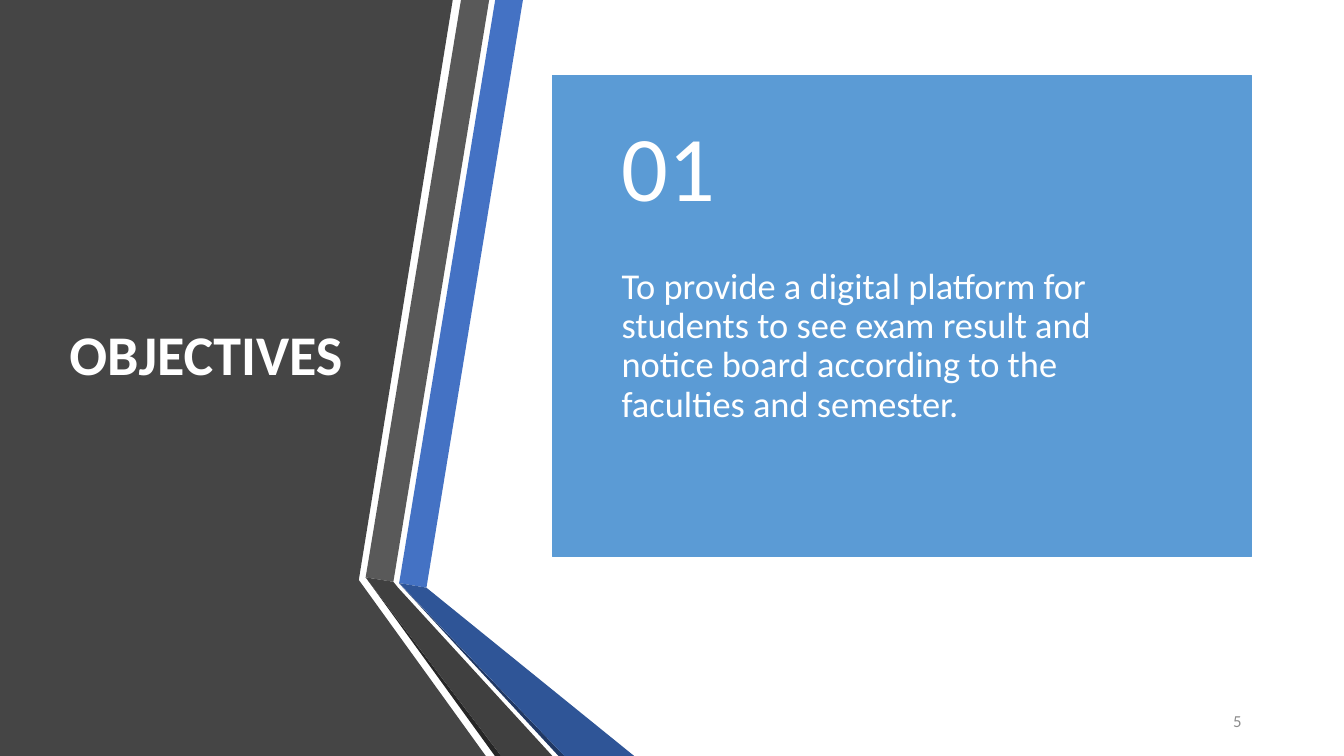
from pptx import Presentation, util as u
from pptx.dml.color import RGBColor
from pptx.enum import shapes, text

WIDTH, HEIGHT = 960, 540


def color(value):
    return RGBColor.from_string(value)


def add_polygon(slide, box, points, fill):
    left, top = box[:2]
    corners = [(u.Pt(left + x), u.Pt(top + y)) for x, y in points]
    builder = slide.shapes.build_freeform(*corners[0], scale=1.0)
    builder.add_line_segments(corners[1:], close=True)
    shape = builder.convert_to_shape()
    shape.shadow.inherit = False
    shape.fill.solid()
    shape.fill.fore_color.rgb = color(fill)
    shape.line.fill.background()


def add_text(slide, box, content, size=12, fill="FFFFFF", bold=False,
             align=text.PP_ALIGN.LEFT, anchor=text.MSO_ANCHOR.MIDDLE,
             insets=(7.2, 3.6, 7.2, 3.6), spacing=0.9):
    frame = slide.shapes.add_textbox(*map(u.Pt, box)).text_frame
    frame.word_wrap = True
    frame.vertical_anchor = anchor
    (frame.margin_left, frame.margin_top,
     frame.margin_right, frame.margin_bottom) = map(u.Pt, insets)
    paragraph = frame.paragraphs[0]
    paragraph.alignment = align
    paragraph.line_spacing = spacing
    run = paragraph.add_run()
    run.text = content
    run.font.name = "Calibri"
    run.font.size = u.Pt(size)
    run.font.bold = bold
    run.font.color.rgb = color(fill)


def add_title_panel(slide, box, title):
    height = box[3]
    # Dark panel
    add_polygon(slide, box, [(0, 0), (323.4, 0), (256.3, 414.3),
                             (347, height), (0, height)], "454545")
    add_text(slide, (box[0] + 42.5, box[1] + 54, 219, 402), title,
             size=40, bold=True)


def add_folded_ribbons(slide, box):
    height = box[3]
    # Upper bands
    add_polygon(slide, box, [(285.1, 416.5), (304.6, 419.8),
                             (373.5, 0), (353.7, 0)], "4472C4")
    add_polygon(slide, box, [(349.4, 0), (329.3, 0),
                             (261.2, 412.4), (281, 415.6)], "595959")
    # Fold shadows
    add_polygon(slide, box, [(261.2, 412.4), (353.5, height),
                             (358, height)], "262626")
    add_polygon(slide, box, [(285.1, 416.7), (399, height),
                             (403.2, height)], "203864")
    # Lower bands
    add_polygon(slide, box, [(285.1, 416.5), (403.2, height),
                             (453, height), (304.6, 419.8)], "2F5597")
    add_polygon(slide, box, [(261.2, 412.4), (358, height), (394.6, height),
                             (284.4, 419.8), (281, 415.6)], "404040")


def add_objective_card(slide, box, number, objective):
    left, top, width, height = box
    number_height = 0.4 * height
    # Card background
    card = slide.shapes.add_shape(shapes.MSO_SHAPE.RECTANGLE, *map(u.Pt, box))
    card.shadow.inherit = False
    card.fill.solid()
    card.fill.fore_color.rgb = color("5B9BD5")
    card.line.color.rgb = color("5B9BD5")
    card.line.width = u.Pt(1)
    # Objective and number
    add_text(slide, (left, top + number_height, width, height - number_height),
             objective, size=26, anchor=text.MSO_ANCHOR.TOP,
             insets=(49.5, 0, 49.5, 26))
    add_text(slide, (left, top, width, number_height), number, size=66,
             insets=(49.5, 13, 49.5, 13))


def main():
    presentation = Presentation()
    presentation.slide_width = u.Pt(WIDTH)
    presentation.slide_height = u.Pt(HEIGHT)
    slide = presentation.slides.add_slide(presentation.slide_layouts[6])

    add_title_panel(slide, (0, 0, 347, HEIGHT), "OBJECTIVES")
    add_folded_ribbons(slide, (0, 0, 453, HEIGHT))
    add_objective_card(
        slide, (394.5, 54, 499.5, 343.5), "01",
        "To provide a digital platform for students to see exam result and "
        "notice board according to the faculties and semester.")
    # Slide number
    add_text(slide, (678, 500.5, 216, 28.75), "5", fill="8C8C8C",
             align=text.PP_ALIGN.RIGHT, spacing=1.0)

    presentation.save("out.pptx")


if __name__ == "__main__":
    main()
